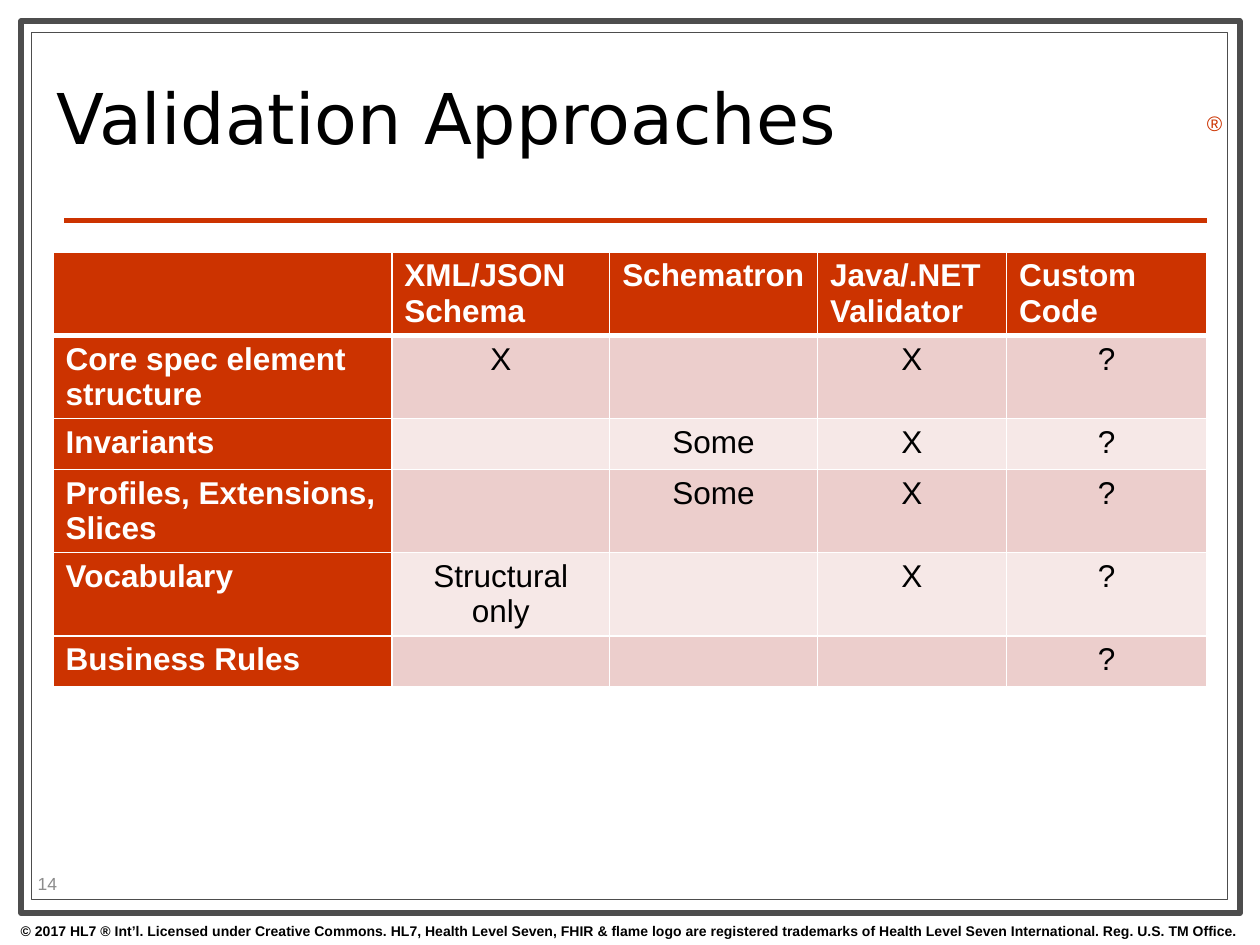
from lxml.etree import SubElement
from pptx import Presentation
from pptx.dml.color import RGBColor
from pptx.enum.shapes import MSO_CONNECTOR, MSO_SHAPE
from pptx.enum.text import MSO_ANCHOR, PP_ALIGN
from pptx.oxml.ns import qn
from pptx.util import Cm, Pt

# Content
TITLE = "Validation Approaches"
APPROACHES = ["", "XML/JSON Schema", "Schematron", "Java/.NET Validator", "Custom Code"]
COVERAGE = [
    ("Core spec element structure", "X", "", "X", "?"),
    ("Invariants", "", "Some", "X", "?"),
    ("Profiles, Extensions, Slices", "", "Some", "X", "?"),
    ("Vocabulary", "Structural only", "", "X", "?"),
    ("Business Rules", "", "", "", "?"),
]
COPYRIGHT = (
    "© 2017 HL7 ® Int’l. Licensed under Creative Commons. HL7, Health Level Seven, "
    "FHIR & flame logo are registered trademarks of Health Level Seven International. "
    "Reg. U.S. TM Office."
)
REGISTERED = "®"
PAGE_NUMBER = "14"

THEME = {
    "accent": "CC3300", "frame": "4D4D4D", "paper": "FFFFFF", "ink": "000000",
    "muted": "8C8C8C", "bands": ("ECCECC", "F6E8E7"),
    "title": {"name": "DejaVu Sans", "size": Pt(40), "bold": False},
    "table": {"name": "Arial", "size": Pt(18)},
    "mark": {"name": "Arial", "size": Pt(12)},
    "page": {"name": "Arial", "size": Pt(10)},
    "legal": {"name": "Arial", "size": Pt(8), "bold": True},
}
FRAMES = [((0.43, 0.43, 24.56, 17.98), 3.5), ((0.64, 0.66, 24.1, 17.48), 0.75)]
COLUMN_WIDTHS = [6.83, 4.39, 4.19, 3.81, 4.04]
ROW_HEIGHT = 1.03


def rgb(color):
    return RGBColor.from_string(color)


def format_font(font, color, **values):
    for attribute, value in values.items():
        setattr(font, attribute, value)
    font.color.rgb = rgb(color)


def add_label(slide, box, text, style, color, align=PP_ALIGN.LEFT, anchor=MSO_ANCHOR.TOP):
    frame = slide.shapes.add_textbox(*map(Cm, box)).text_frame
    frame.word_wrap = True
    frame.vertical_anchor = anchor
    paragraph = frame.paragraphs[0]
    paragraph.text = text
    paragraph.alignment = align
    format_font(paragraph.font, color, **THEME[style])


def set_borders(cell, bottom_width):
    properties = cell._tc.get_or_add_tcPr()
    widths = {"a:lnL": 1, "a:lnR": 1, "a:lnT": 1, "a:lnB": bottom_width}
    for position, (side, width) in enumerate(widths.items()):
        line = SubElement(properties, qn(side), w=str(Pt(width)))
        fill = SubElement(line, qn("a:solidFill"))
        SubElement(fill, qn("a:srgbClr"), val=THEME["paper"])
        properties.insert(position, line)


def add_coverage_table(slide):
    rows = [APPROACHES, *COVERAGE]
    table = slide.shapes.add_table(
        len(rows), len(APPROACHES), Cm(1.07), Cm(5.08),
        Cm(sum(COLUMN_WIDTHS)), Cm(ROW_HEIGHT * len(rows)),
    ).table
    table.first_col = True
    for column, width in zip(table.columns, COLUMN_WIDTHS):
        column.width = Cm(width)
    for r, row in enumerate(rows):
        table.rows[r].height = Cm(ROW_HEIGHT)
        for c, text in enumerate(row):
            heading = r == 0 or c == 0
            cell = table.cell(r, c)
            cell.fill.solid()
            cell.fill.fore_color.rgb = rgb(THEME["accent"] if heading else THEME["bands"][(r - 1) % 2])
            set_borders(cell, 3 if r == 0 else 1)
            paragraph = cell.text_frame.paragraphs[0]
            paragraph.text = text
            paragraph.alignment = PP_ALIGN.LEFT if heading else PP_ALIGN.CENTER
            color = THEME["paper"] if heading else THEME["ink"]
            format_font(paragraph.font, color, bold=heading, **THEME["table"])


def main():
    presentation = Presentation()
    presentation.slide_width, presentation.slide_height = Cm(25.4), Cm(19.05)
    slide = presentation.slides.add_slide(presentation.slide_layouts[5])

    # Double page frame
    for box, width in FRAMES:
        border = slide.shapes.add_shape(MSO_SHAPE.RECTANGLE, *map(Cm, box))
        border.shadow.inherit = False
        border.fill.solid()
        border.fill.fore_color.rgb = rgb(THEME["paper"])
        border.line.color.rgb = rgb(THEME["frame"])
        border.line.width = Pt(width)

    # Rule under the title
    rule = slide.shapes.add_connector(MSO_CONNECTOR.STRAIGHT, Cm(1.3), Cm(4.45), Cm(24.33), Cm(4.45))
    rule.line.color.rgb = rgb(THEME["accent"])
    rule.line.width = Pt(3)
    SubElement(rule.element.spPr, qn("a:effectLst"))

    # Copyright line and registered mark
    add_label(slide, (0, 18.47, 25.4, 0.58), COPYRIGHT, "legal", THEME["ink"], PP_ALIGN.CENTER)
    add_label(slide, (24.08, 2.11, 0.79, 0.76), REGISTERED, "mark", THEME["accent"])

    # Title, brought in front of the filled frames
    title = slide.shapes.title
    title.element.getparent().append(title.element)
    placement = {"left": 0.89, "top": 0.91, "width": 18.21, "height": 3.2}
    for attribute, value in placement.items():
        setattr(title, attribute, Cm(value))
    title.text_frame.text = TITLE
    title.text_frame.vertical_anchor = MSO_ANCHOR.MIDDLE
    heading = title.text_frame.paragraphs[0]
    heading.alignment = PP_ALIGN.LEFT
    heading.line_spacing = 0.8
    format_font(heading.font, THEME["ink"], **THEME["title"])

    # Table and page number
    add_coverage_table(slide)
    add_label(slide, (0.51, 17.5, 2.01, 0.61), PAGE_NUMBER, "page", THEME["muted"], anchor=MSO_ANCHOR.MIDDLE)

    presentation.save("out.pptx")


if __name__ == "__main__":
    main()
